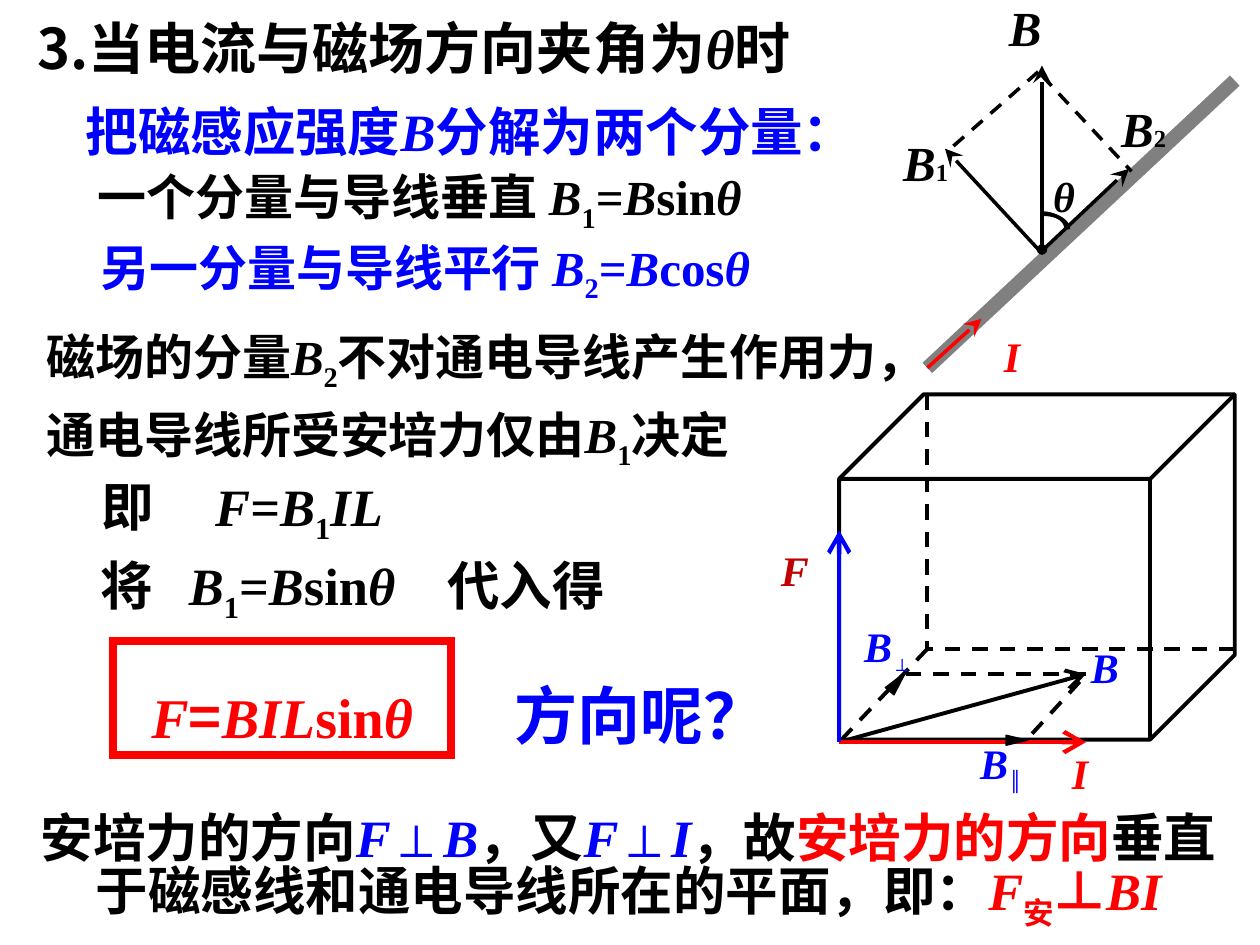
from math import cos, pi, sin

from lxml import etree
from pptx import Presentation
from pptx.dml.color import RGBColor
from pptx.enum.dml import MSO_LINE
from pptx.enum.shapes import MSO_CONNECTOR, MSO_SHAPE
from pptx.enum.text import MSO_ANCHOR, PP_ALIGN
from pptx.oxml.ns import qn
from pptx.util import Inches, Pt

LEFT, CENTER = PP_ALIGN.LEFT, PP_ALIGN.CENTER
MIDDLE, BOTTOM = MSO_ANCHOR.MIDDLE, MSO_ANCHOR.BOTTOM
STRAIGHT, DASH = MSO_CONNECTOR.STRAIGHT, MSO_LINE.DASH
CUBE, RECTANGLE = MSO_SHAPE.CUBE, MSO_SHAPE.RECTANGLE
TRIANGLE = MSO_SHAPE.ISOSCELES_TRIANGLE

THEME = {
    "black": RGBColor(0, 0, 0),
    "blue": RGBColor(0, 0, 255),
    "red": RGBColor(255, 0, 0),
    "dark red": RGBColor(192, 0, 0),
    "gray": RGBColor(128, 128, 128),
    "serif": "Times New Roman",
    "sans": "Noto Sans CJK SC",
    "question": 36, "title": 32, "body": 30, "detail": 28,
    "label": 24, "mark": 20, "index": 14,
    "body pitch": 35.4, "detail pitch": 37.6,
}

deck = Presentation()
deck.slide_width, deck.slide_height = Inches(10), Inches(7.5)
page = deck.slides.add_slide(deck.slide_layouts[6])


def write(box, paragraphs, size, color="black", align=LEFT, pitch=None, tabs=()):
    frame = box.text_frame
    frame.word_wrap = True
    frame.vertical_anchor = MIDDLE
    for index, spans in enumerate(paragraphs):
        para = frame.add_paragraph() if index else frame.paragraphs[0]
        para.alignment = align
        if pitch:
            para.line_spacing = Pt(THEME[pitch])
        if index:
            para.space_before = Pt(7)
        if tabs:
            stops = etree.SubElement(para._p.get_or_add_pPr(), qn("a:tabLst"))
            for stop in tabs:
                etree.SubElement(stops, qn("a:tab"), pos=str(Inches(stop)), algn="l")
        for text, *styles in spans:
            span = para.add_run()
            span.text = text
            font = span.font
            font.bold = True
            font.italic = "italic" in styles
            font.size = Pt(THEME[size])
            font.color.rgb = THEME[color]
            for style in styles:
                if style in ("blue", "red"):
                    font.color.rgb = THEME[style]
                elif style in ("mark", "index"):
                    font.size = Pt(THEME[style])
            font.name = THEME["sans" if "sans" in styles else "serif"]
            properties = span._r.get_or_add_rPr()
            asian = THEME["serif" if "thin" in styles else "sans"]
            etree.SubElement(properties, qn("a:ea"), typeface=asian)
            if "sub" in styles:
                properties.set("baseline", "-25000")


def draw_line(start, end, color="black", width=2, dashed=False, head=None, tail=None):
    line = page.shapes.add_connector(STRAIGHT, *map(Inches, start + end))
    line.line.color.rgb = THEME[color]
    line.line.width = Pt(width)
    if dashed:
        line.line.dash_style = DASH
    outline = line.line._get_or_add_ln()
    for tag, kind, scale in (("a:headEnd", head, "med"), ("a:tailEnd", tail, "lg")):
        if kind:
            etree.SubElement(outline, qn(tag), type=kind, w=scale, len=scale)
    etree.SubElement(line._element.spPr, qn("a:effectLst"))


foot, tip = (8.26, 2), (8.27, 0.52)
draw_line((7.36, 2.92), (9.8, 0.64), "gray", 8)
draw_line((7.36, 2.92), (7.79, 2.53), "red", tail="stealth")
draw_line((8.27, 1.98), tip, head="oval", tail="stealth")
for end in ((7.5, 1.18), (8.96, 1.34)):
    draw_line(foot, end, tail="stealth")
draw_line((8.27, 0.6), (8.98, 1.36), dashed=True)
draw_line((8.24, 0.57), (7.52, 1.2), dashed=True)

for left, top in ((8.26, 1.69), (8.28, 1.7)):
    points = [(Inches(left + 0.2 * sin(step * pi / 24)),
               Inches(top + 0.12 * (1 - cos(step * pi / 24)))) for step in range(13)]
    builder = page.shapes.build_freeform(*points[0])
    builder.add_line_segments(points[1:], close=False)
    arc = builder.convert_to_shape()
    arc.shadow.inherit = False
    arc.fill.background()
    arc.line.color.rgb = THEME["black"]
    arc.line.width = Pt(2)

cube = page.shapes.add_shape(CUBE, Inches(6.66), Inches(3.13), Inches(3.14), Inches(2.74))
cube.adjustments[0] = 0.245
cube.shadow.inherit = False
cube.fill.background()
cube.line.color.rgb = THEME["black"]
cube.line.width = Pt(2.25)

origin, back, field = (6.66, 5.89), (7.36, 5.15), (8.62, 5.35)
for start, end in (((7.36, 3.13), back), ((9.8, 5.15), back), (back, origin),
                   ((8.57, 5.41), (8.13, 5.89)), (field, (7.15, 5.35))):
    draw_line(start, end, width=2.25, dashed=True)
draw_line(origin, field, width=2.25, tail="arrow")
draw_line(origin, (8.62, 5.89), "red", 2.5, tail="arrow")
draw_line(origin, (6.66, 4.21), "blue", 2.5, tail="arrow")

for left, top, width, height, angle in ((8.03, 5.79, 0.08, 0.17, 90),
                                        (7.08, 5.31, 0.09, 0.2, 40)):
    arrow = page.shapes.add_shape(TRIANGLE, *map(Inches, (left, top, width, height)))
    arrow.rotation = angle
    arrow.shadow.inherit = False
    arrow.fill.solid()
    arrow.fill.fore_color.rgb = THEME["black"]
    arrow.line.color.rgb = THEME["black"]
    arrow.line.width = Pt(0.75)

labels = [
    (7.87, 2.57, 0.47, 0.5, "I", (), "label", "red"),
    (7.91, -0.07, 0.47, 0.57, "B", (), "detail", "black"),
    (8.8, 0.73, 0.79, 0.57, "B", ("2", "index"), "detail", "black"),
    (7.07, 1, 0.91, 0.57, "B", ("1", "index"), "detail", "black"),
    (8.56, 5.04, 0.63, 0.5, "B", (), "label", "blue"),
    (6.1, 4.27, 0.63, 0.5, "F", (), "label", "dark red"),
    (6.76, 4.87, 0.91, 0.54, "B", ("⊥", "mark", "sub", "thin"), "label", "blue"),
    (7.68, 5.8, 0.63, 0.54, "B", ("∥", "mark", "sub", "thin"), "label", "blue"),
    (8.41, 5.88, 0.3, 0.5, "I", (), "label", "red"),
    (8.26, 1.3, 0.59, 0.5, "θ", (), "label", "black"),
]
for left, top, width, height, letter, suffix, size, color in labels:
    box = page.shapes.add_textbox(*map(Inches, (left, top, width, height)))
    write(box, [[(letter, "italic")] + ([suffix] if suffix else [])], size, color)

B, F, THETA = ("B", "italic"), ("F", "italic"), ("θ", "italic")
ONE, TWO, EQUALS, SINE = ("1", "sub"), ("2", "sub"), ("=",), ("sin",)
BLUE_F, PERPENDICULAR = ("F", "italic", "blue"), ("⊥", "blue", "thin")

texts = [
    ((0.2, 0.05, 6.93, 0.64),
     [[("3.当电流与磁场方向夹角为", "sans"), THETA, ("时", "sans")]],
     {"size": "title"}),
    ((0.38, 0.74, 6.71, 0.6),
     [[("把磁感应强度",), B, ("分解为两个分量：",)]],
     {"size": "body", "color": "blue", "align": CENTER}),
    ((0.53, 1.28, 5.6, 0.63),
     [[("一个分量与导线垂直 ",), B, ONE, EQUALS, B, SINE, THETA]],
     {"size": "detail", "align": CENTER, "pitch": "detail pitch"}),
    ((0.55, 1.84, 5.65, 0.63),
     [[("另一分量与导线平行 ",), B, TWO, EQUALS, B, ("cos",), THETA]],
     {"size": "detail", "color": "blue", "align": CENTER, "pitch": "detail pitch"}),
    ((0.27, 2.54, 8.51, 1.26),
     [[("磁场的分量",), B, TWO, ("不对通电导线产生作用力，",)],
      [("通电导线所受安培力仅由",), B, ONE, ("决定",)]],
     {"size": "detail", "pitch": "detail pitch"}),
    ((0.71, 3.75, 3.15, 0.67),
     [[("即\t",), F, EQUALS, B, ONE, ("IL", "italic")]],
     {"size": "body", "tabs": (0.9,), "pitch": "body pitch"}),
    ((0.7, 4.38, 4.5, 0.67),
     [[("将\t",), B, ONE, EQUALS, B, SINE, THETA, ("\t代入得",)]],
     {"size": "body", "tabs": (0.7, 2.75), "pitch": "body pitch"}),
    ((3.82, 5.32, 2.52, 0.7),
     [[("方向呢？", "sans")]],
     {"size": "question", "color": "blue", "align": CENTER}),
    ((0.07, 6.33, 9.84, 1.12),
     [[("安培力的方向",), BLUE_F, PERPENDICULAR, ("B", "italic", "blue"),
       ("，又",), BLUE_F, PERPENDICULAR, ("I", "italic", "blue"),
       ("，故",), ("安培力的方向", "red"),
       ("垂直于磁感线和通电导线所在的平面，即：",),
       ("F", "italic", "red"), ("安", "sub", "red"), ("⊥", "red"),
       ("BI", "italic", "red")]],
     {"size": "body", "align": CENTER, "pitch": "body pitch"}),
]
for place, paragraphs, look in texts:
    write(page.shapes.add_textbox(*map(Inches, place)), paragraphs, **look)

result = page.shapes.add_shape(RECTANGLE, Inches(0.9), Inches(5.09), Inches(2.68), Inches(0.9))
result.shadow.inherit = False
result.fill.background()
result.line.color.rgb = THEME["red"]
result.line.width = Pt(4.5)
etree.SubElement(result.line._get_or_add_ln(), qn("a:miter"), lim="800000")
write(result, [[F, ("=", "sans"), ("BIL", "italic"), SINE, THETA]], "title", "red", CENTER)
result.text_frame.vertical_anchor = BOTTOM
result.text_frame.margin_bottom = Inches(0.04)

deck.save("out.pptx")
